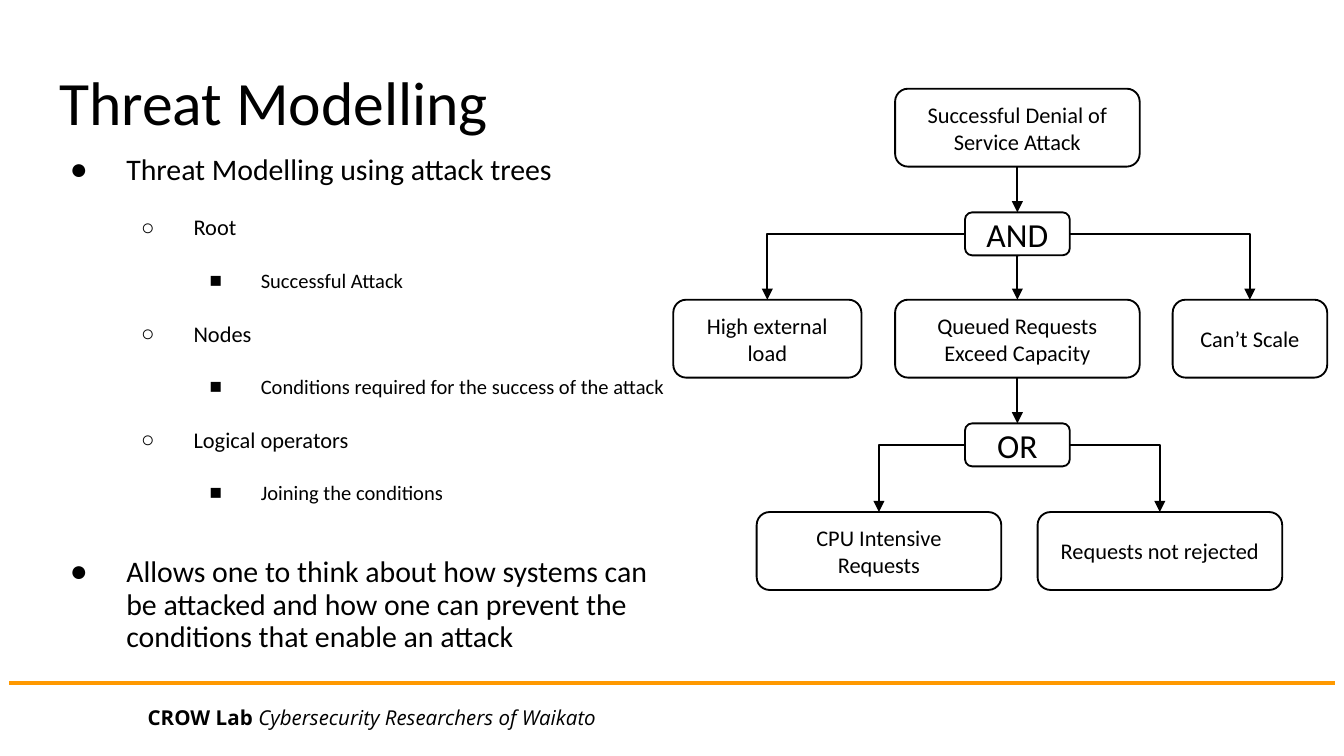
from lxml import etree
from pptx import Presentation
from pptx.dml.color import RGBColor
from pptx.enum.shapes import MSO_CONNECTOR, MSO_SHAPE
from pptx.enum.text import MSO_ANCHOR, MSO_AUTO_SIZE, PP_ALIGN
from pptx.oxml.ns import qn
from pptx.util import Inches, Pt

BLACK = RGBColor(0, 0, 0)
WHITE = RGBColor(255, 255, 255)
ORANGE = RGBColor(0xFF, 0x99, 0x00)

TITLE = "Threat Modelling"
BULLETS = [  # level, space before (pt), text
    (0, 0, "Threat Modelling using attack trees"),
    (1, 16, "Root"),
    (2, 16, "Successful Attack"),
    (1, 16, "Nodes"),
    (2, 16, "Conditions required for the success of the attack"),
    (1, 16, "Logical operators"),
    (2, 16, "Joining the conditions"),
    (0, 28, "Allows one to think about how systems can be attacked and how "
            "one can prevent the conditions that enable an attack"),
]
LEVELS = [("●", 0.42, 16), ("○", 0.39, 12), ("■", 0.38, 11)]  # mark, hang, size
FOOTER = [("CROW Lab ", {"bold": True}),
          ("Cybersecurity Researchers of Waikato", {"italic": True})]

AXIS, WIDE = 7.57, 1.82
BOX_H, GATE_W, GATE_H = 0.58, 0.78, 0.32
ROW_TOPS = [0.66, 1.58, 2.23, 3.15, 3.81]  # boxes and gates alternate
NODES = {  # key: text, row, centre x, width
    "root": ("Successful Denial of Service Attack", 0, AXIS, WIDE),
    "and": ("AND", 1, AXIS, GATE_W),
    "load": ("High external load", 2, 5.71, 1.4),
    "queue": ("Queued Requests Exceed Capacity", 2, AXIS, WIDE),
    "scale": ("Can’t Scale", 2, 9.3, 1.15),
    "or": ("OR", 3, AXIS, GATE_W),
    "cpu": ("CPU Intensive Requests", 4, 6.54, WIDE),
    "reject": ("Requests not rejected", 4, 8.63, WIDE),
}
TOP, LEFT, BOTTOM, RIGHT = range(4)
LINKS = [  # from, side, to (always its top)
    ("root", BOTTOM, "and"), ("and", BOTTOM, "queue"),
    ("and", LEFT, "load"), ("and", RIGHT, "scale"),
    ("queue", BOTTOM, "or"), ("or", LEFT, "cpu"), ("or", RIGHT, "reject"),
]


def add_run(p, text, size, name="Calibri", **style):
    r = p.add_run()
    r.text = text
    r.font.color.rgb = BLACK
    for key, value in {"size": Pt(size), "name": name, **style}.items():
        setattr(r.font, key, value)


def place(sp, left, top, width, height):
    sp.left, sp.top, sp.width, sp.height = map(Inches, (left, top, width, height))


def prepare_placeholder(sp, *box):
    place(sp, *box)
    tf = sp.text_frame
    frame = {"word_wrap": True, "auto_size": MSO_AUTO_SIZE.NONE,
             "vertical_anchor": MSO_ANCHOR.TOP}
    for side in ("left", "top", "right", "bottom"):
        frame[f"margin_{side}"] = Inches(0.1)
    for key, value in frame.items():
        setattr(tf, key, value)
    return tf


def set_bullet(p, level, mark, hang):
    p.level = level
    pPr = p._p.get_or_add_pPr()
    pPr.set("marL", str(Inches(0.5 * (level + 1))))
    pPr.set("indent", str(-Inches(hang)))
    etree.SubElement(pPr, qn("a:buChar")).set("char", mark)


def add_node(shapes, text, row, centre, width):
    is_gate = row % 2 == 1
    height = GATE_H if is_gate else BOX_H
    sp = shapes.add_shape(MSO_SHAPE.FLOWCHART_ALTERNATE_PROCESS, 0, 0, 0, 0)
    place(sp, centre - width / 2, ROW_TOPS[row], width, height)
    sp.shadow.inherit = False
    sp.fill.solid()
    sp.fill.fore_color.rgb = WHITE
    sp.line.color.rgb = BLACK
    sp.line.width = Pt(1)
    tf = sp.text_frame
    tf.word_wrap = True
    tf.vertical_anchor = MSO_ANCHOR.MIDDLE
    p = tf.paragraphs[0]
    p.alignment = PP_ALIGN.CENTER
    add_run(p, text, 18 if is_gate else 12)
    return sp


def add_line(shapes, kind, color, width, *ends):
    line = shapes.add_connector(kind, *map(Inches, ends))
    line.line.color.rgb = color
    line.line.width = Pt(width)
    etree.SubElement(line._element.spPr, qn("a:effectLst"))
    return line


def add_arrow(shapes, start, side, end):
    straight = side == BOTTOM
    kind = MSO_CONNECTOR.STRAIGHT if straight else MSO_CONNECTOR.ELBOW
    line = add_line(shapes, kind, BLACK, 1, 0, 0, 0, 0)
    line.begin_connect(start, side)
    line.end_connect(end, TOP)
    if not straight:  # a single corner: across, then down
        line._element.spPr.find(qn("a:prstGeom")).set("prst", "bentConnector2")
    etree.SubElement(line.line._get_or_add_ln(), qn("a:tailEnd")).set("type", "triangle")


prs = Presentation()
prs.slide_width = Inches(10)
prs.slide_height = prs.slide_width * 9 // 16
s = prs.slides.add_slide(prs.slide_layouts[1])
shapes = s.shapes

add_line(shapes, MSO_CONNECTOR.STRAIGHT, ORANGE, 2.25, 0.07, 5.08, 9.93, 5.08)
footer = shapes.add_textbox(Inches(1), Inches(5.2), Inches(4.19), Inches(0.29))
footer.text_frame.word_wrap = True
for text, style in FOOTER:
    add_run(footer.text_frame.paragraphs[0], text, 11, "Open Sans", **style)

p = prepare_placeholder(shapes.title, 0.34, 0.44, 9.32, 0.61).paragraphs[0]
p.alignment = PP_ALIGN.LEFT
p.line_spacing = 0.9
add_run(p, TITLE, 33)

tf = prepare_placeholder(s.placeholders[1], 0.34, 1.05, 4.72, 3.94)
for i, (level, before, text) in enumerate(BULLETS):
    p = tf.add_paragraph() if i else tf.paragraphs[0]
    mark, hang, size = LEVELS[level]
    set_bullet(p, level, mark, hang)
    p.line_spacing = 0.9
    p.space_before = Pt(before)
    add_run(p, text, size)

nodes = {key: add_node(shapes, *node) for key, node in NODES.items()}
for start, side, end in LINKS:
    add_arrow(shapes, nodes[start], side, nodes[end])

prs.save("out.pptx")
